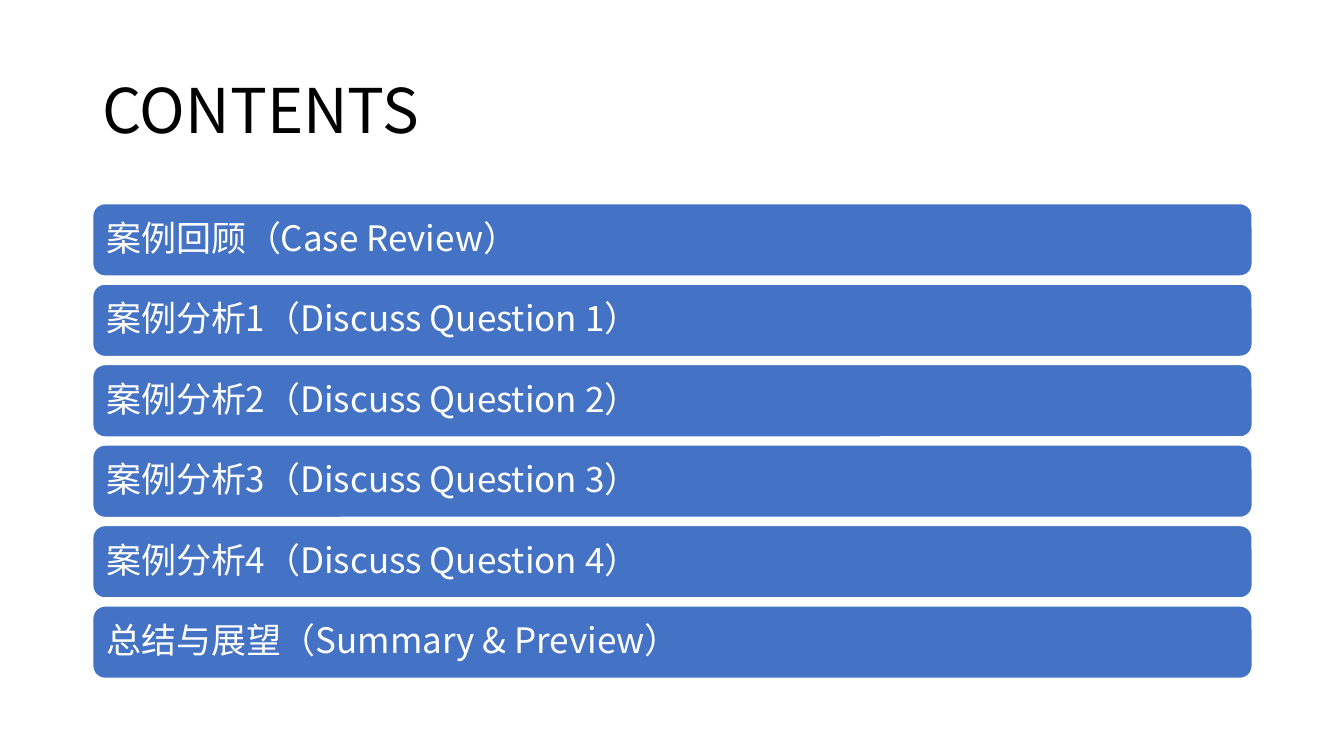
from lxml import etree
from pptx import Presentation
from pptx import util as u
from pptx.dml.color import RGBColor
from pptx.enum import shapes, text
from pptx.oxml.ns import qn

COLORS = {"bar": "4472C4", "white": "FFFFFF", "title": "000000"}
FONT = "Noto Sans CJK SC"
TOPICS = [
    "案例回顾（Case Review）",
    *[f"案例分析{n}（Discuss Question {n}）" for n in range(1, 5)],
    "总结与展望（Summary & Preview）",
]


def color(name):
    return RGBColor.from_string(COLORS[name])


def write_line(frame, words, size, color_name, inset):
    """Fill a frame with one left-aligned, vertically centred line."""
    frame.word_wrap = True
    frame.vertical_anchor = text.MSO_ANCHOR.MIDDLE
    frame.margin_left = frame.margin_right = u.Inches(0.1)
    frame.margin_top = frame.margin_bottom = u.Inches(inset)
    paragraph = frame.paragraphs[0]
    paragraph.alignment = text.PP_ALIGN.LEFT
    paragraph.line_spacing = 0.9
    run = paragraph.add_run()
    run.text = words
    paragraph.font.size = run.font.size = u.Pt(size)
    run.font.name = FONT
    run.font.color.rgb = color(color_name)
    # Chinese characters take their font from a:ea
    etree.SubElement(run.font._element, qn("a:ea"), typeface=FONT)


def add_heading(slide, left, top, width, height):
    heading = slide.shapes.add_textbox(left, top, width, height)
    write_line(heading.text_frame, "CONTENTS", 44, "title", 0.05)


def add_topic_bars(slide, left, top, width, height):
    # Bars share the height, with a gap of one tenth of each row
    pitch = height / (len(TOPICS) - 0.1)
    for row, topic in enumerate(TOPICS):
        bar = slide.shapes.add_shape(
            shapes.MSO_SHAPE.ROUNDED_RECTANGLE,
            left, round(top + row * pitch), width, round(pitch * 0.9))
        bar.shadow.inherit = False
        bar.fill.solid()
        bar.fill.fore_color.rgb = color("bar")
        bar.line.color.rgb = color("white")
        bar.line.width = u.Pt(1)
        write_line(bar.text_frame, topic, 25, "white", 0.1)


def main():
    prs = Presentation()
    prs.slide_width, prs.slide_height = u.Inches(13.33), u.Inches(7.5)
    slide = prs.slides.add_slide(prs.slide_layouts[6])
    left, width = u.Inches(0.92), u.Inches(11.5)

    # Heading above, list of topics below
    add_heading(slide, left, u.Inches(0.4), width, u.Inches(1.45))
    add_topic_bars(slide, left, u.Inches(2.02), width, u.Inches(4.71))
    prs.save("out.pptx")


if __name__ == "__main__":
    main()
